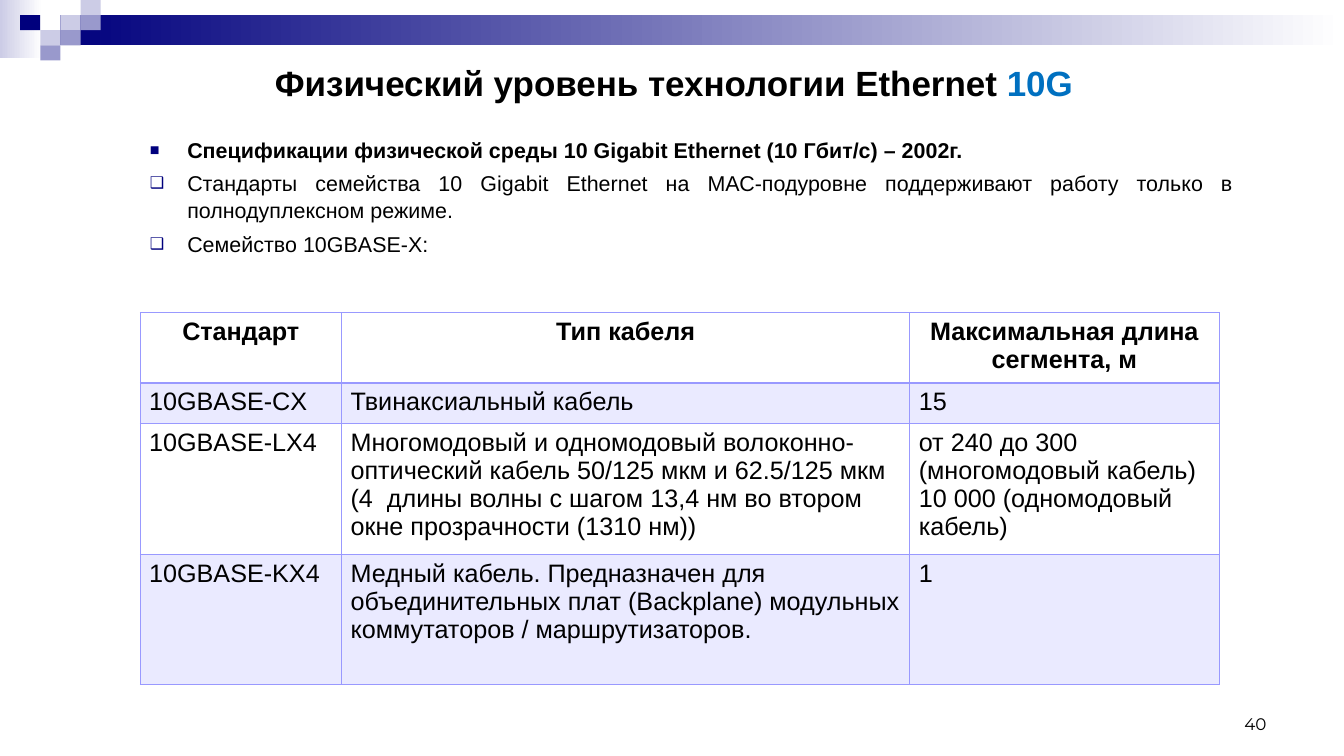
from lxml import etree
from pptx import Presentation
from pptx import util as u
from pptx.dml.color import RGBColor
from pptx.enum import shapes, text
from pptx.oxml.ns import qn

COLORS = {
    "black": "000000", "white": "FFFFFF", "navy": "00007D", "blue": "0070C0",
    "lavender": "CCCCE6", "violet": "9999CC", "grid": "9999FF",
}
HEADERS = ["Стандарт", "Тип кабеля", "Максимальная длина сегмента, м"]
STANDARDS = [
    ["10GBASE-CX", "Твинаксиальный кабель", "15"],
    ["10GBASE-LX4",
     "Многомодовый и одномодовый волоконно-оптический кабель 50/125 мкм и "
     "62.5/125 мкм (4  длины волны с шагом 13,4 нм во втором окне "
     "прозрачности (1310 нм))",
     "от 240 до 300 (многомодовый кабель)\n10 000 (одномодовый кабель)"],
    ["10GBASE-KX4",
     "Медный кабель. Предназначен для объединительных плат (Backplane) "
     "модульных коммутаторов / маршрутизаторов.", "1"],
]
BULLETS = [
    ("■", "Спецификации физической среды 10 Gigabit Ethernet (10 Гбит/с) – 2002г.", True),
    ("❑", "Стандарты семейства 10 Gigabit Ethernet на МАС-подуровне "
          "поддерживают работу только в полнодуплексном режиме.", False),
    ("❑", "Семейство 10GBASE-X:", False),
]
TILE_WIDTH, TILE_HEIGHT = 0.2, 0.15
TILES = [  # column, row, color
    (3, 1, "lavender"), (4, 0, "lavender"), (4, 1, "violet"), (2, 2, "lavender"),
    (1, 1, "navy"), (3, 2, "violet"), (2, 3, "violet"),
]


def rgb(color):
    return RGBColor.from_string(COLORS[color])


def add_child(parent, tag, **attributes):
    return etree.SubElement(parent, qn(tag), attributes)


class Page:
    """Draws styled elements on one slide."""
    font = "Arial"

    def __init__(self, deck):
        self.shapes = deck.slides.add_slide(deck.slide_layouts[6]).shapes

    def style(self, span, size, bold=False, color="black", font=None):
        span.font.name = font or self.font
        span.font.size = u.Pt(size)
        span.font.bold = bold
        span.font.color.rgb = rgb(color)

    def rectangle(self, place, *colors):
        """One color gives a solid fill, two a left-to-right gradient."""
        shape = self.shapes.add_shape(shapes.MSO_SHAPE.RECTANGLE, *map(u.Inches, place))
        shape.shadow.inherit = False
        shape.line.fill.background()
        if len(colors) == 1:
            shape.fill.solid()
            shape.fill.fore_color.rgb = rgb(colors[0])
            return
        shape.fill.gradient()
        shape.fill.gradient_angle = 0
        for stop, color in zip(shape.fill.gradient_stops, colors):
            stop.color.rgb = rgb(color)

    def text_frame(self, place, anchor):
        frame = self.shapes.add_textbox(*map(u.Inches, place)).text_frame
        frame.word_wrap = True
        frame.vertical_anchor = anchor
        return frame

    def line(self, place, spans, size, anchor, align, bold=False, font=None):
        para = self.text_frame(place, anchor).paragraphs[0]
        para.alignment = align
        for words, color in spans:
            span = para.add_run()
            span.text = words
            self.style(span, size, bold, color, font)

    def bullets(self, place, items, size):
        frame = self.text_frame(place, text.MSO_ANCHOR.TOP)
        frame.text = "\n".join(words for _, words, _ in items)
        for index, (para, (mark, _, bold)) in enumerate(zip(frame.paragraphs, items)):
            properties = para._p.get_or_add_pPr()
            indent = u.Inches(0.37)
            properties.set("marL", str(indent))
            properties.set("indent", str(-indent))
            add_child(add_child(properties, "a:buClr"), "a:srgbClr", val=COLORS["navy"])
            add_child(properties, "a:buSzPct", val="75000")
            add_child(properties, "a:buFont", typeface=self.font)
            add_child(properties, "a:buChar", char=mark)
            para.alignment = text.PP_ALIGN.JUSTIFY
            para.line_spacing = 1.05
            if index:
                para.space_before = u.Pt(4.5)
            self.style(para.runs[0], size, bold)

    def borders(self, cell, widths):
        properties = cell._tc.get_or_add_tcPr()
        for side, width in zip("LRTB", widths):
            border = add_child(properties, f"a:ln{side}", w=str(u.Pt(width)))
            add_child(add_child(border, "a:solidFill"), "a:srgbClr", val=COLORS["grid"])

    def cell_fill(self, cell, shaded):
        if not shaded:
            cell.fill.background()
            return
        cell.fill.solid()
        cell.fill.fore_color.rgb = rgb("grid")
        tint = cell._tc.tcPr.find(qn("a:solidFill")).find(qn("a:srgbClr"))
        add_child(tint, "a:alpha", val="20000")

    def table(self, left, top, widths, heights, rows, size):
        place = map(u.Inches, (left, top, sum(widths), sum(heights)))
        table = self.shapes.add_table(len(rows), len(widths), *place).table
        table.horz_banding = False
        for column, width in zip(table.columns, widths):
            column.width = u.Inches(width)
        for index, (row, height, words) in enumerate(zip(table.rows, heights, rows)):
            row.height = u.Inches(height)
            header = index == 0
            thin, thick = 0.45, 0.96
            for cell, content in zip(row.cells, words):
                cell.text = content
                cell.margin_left = cell.margin_right = u.Inches(0.09)
                cell.margin_top = cell.margin_bottom = u.Inches(0.05)
                self.borders(cell, (thin, thin, thick if index == 1 else thin,
                                    thick if header else thin))
                self.cell_fill(cell, shaded=index % 2 == 1)
                for para in cell.text_frame.paragraphs:
                    para.alignment = text.PP_ALIGN.CENTER if header else text.PP_ALIGN.LEFT
                    self.style(para.runs[0], size, header)


def main():
    deck = Presentation()
    deck.slide_width, deck.slide_height = u.Inches(13.34), u.Inches(7.5)
    page = Page(deck)

    page.rectangle((0, 0, 0.42, 0.58), "lavender", "white")
    page.rectangle((0.6, 0.15, 12.73, 0.3), "navy", "white")
    for column, row, color in TILES:
        page.rectangle((column * TILE_WIDTH, row * TILE_HEIGHT, TILE_WIDTH, TILE_HEIGHT), color)

    page.line((2.63, 0.54, 8.72, 0.56),
              [("Физический уровень технологии Ethernet ", "black"), ("10G", "blue")],
              25, text.MSO_ANCHOR.MIDDLE, text.PP_ALIGN.LEFT, bold=True)
    page.bullets((1.39, 1.3, 10.95, 1.27), BULLETS, 15.3)
    page.table(1.39, 3.1, [2, 5.64, 3.07], [0.69, 0.39, 1.29, 1.29],
               [HEADERS] + STANDARDS, 18)
    page.line((9.56, 6.83, 3.11, 0.5), [("40", "black")], 12,
              text.MSO_ANCHOR.BOTTOM, text.PP_ALIGN.RIGHT, font="Montserrat")
    deck.save("out.pptx")


if __name__ == "__main__":
    main()
